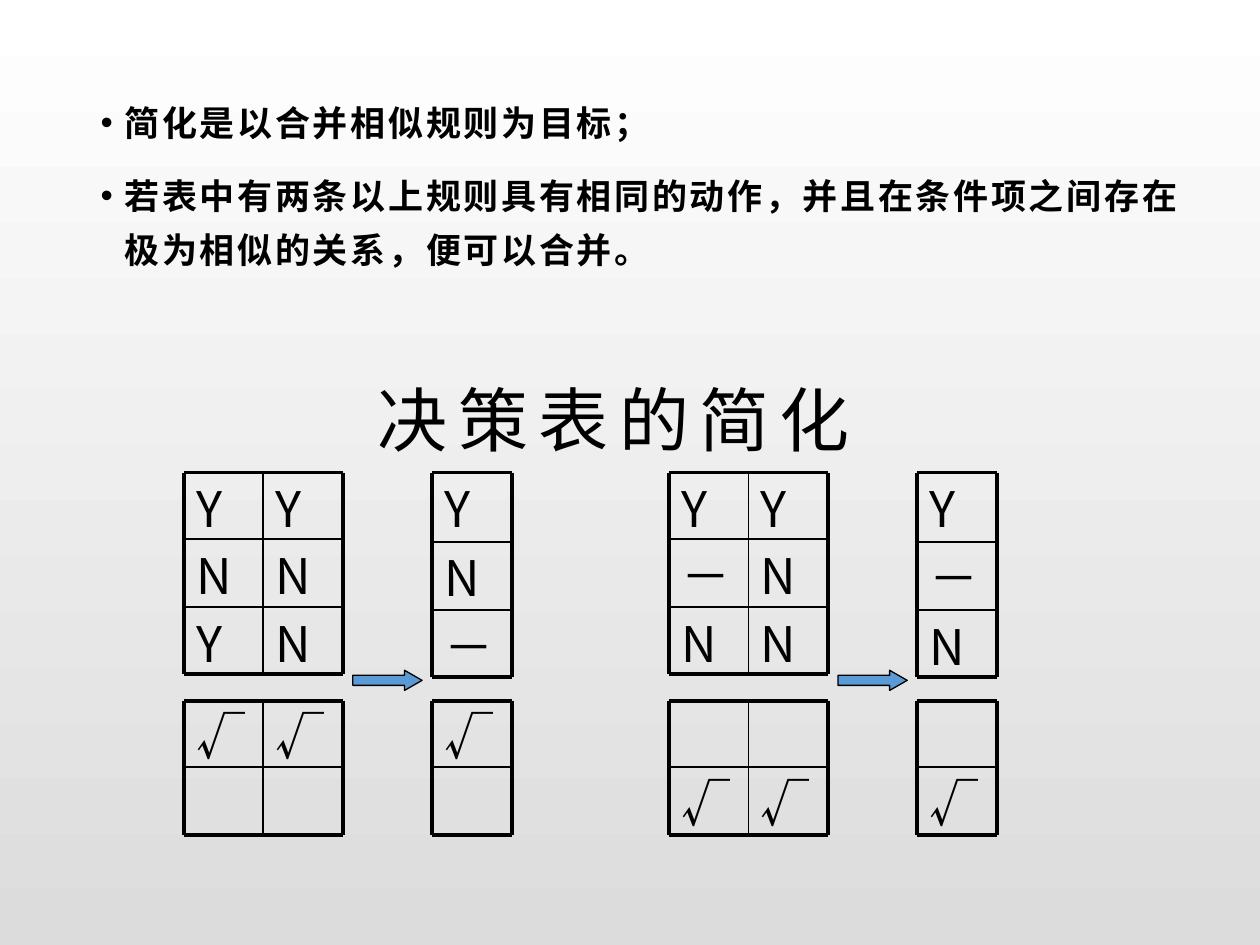
from lxml import etree
from pptx import Presentation
from pptx.dml.color import RGBColor
from pptx.enum.shapes import MSO_CONNECTOR, MSO_SHAPE
from pptx.enum.text import MSO_ANCHOR, PP_ALIGN
from pptx.oxml.ns import qn
from pptx.util import Inches, Pt

STRAIGHT = MSO_CONNECTOR.STRAIGHT
RIGHT_ARROW = MSO_SHAPE.RIGHT_ARROW
MIDDLE = MSO_ANCHOR.MIDDLE
CENTER = PP_ALIGN.CENTER

BLACK = RGBColor(0x00, 0x00, 0x00)
WHITE = RGBColor(0xFF, 0xFF, 0xFF)
GREY = RGBColor(0xDC, 0xDC, 0xDC)
BLUE = RGBColor(0x5B, 0x9B, 0xD5)

TEXT_FONT = "Noto Sans CJK SC"
CELL_FONT = "Noto Sans CJK KR"

TITLE = "决策表的简化\t"
RULES = [
    "简化是以合并相似规则为目标；",
    "若表中有两条以上规则具有相同的动作，并且在条件项之间存在极为相似的关系，便可以合并。",
]

COLUMN_WIDTH = 0.63
CONDITION_ROWS = [3.75, 4.28, 4.82, 5.35]
MERGED_CONDITION_ROWS = [3.75, 4.30, 4.84, 5.37]
ACTION_ROWS = [5.56, 6.09, 6.63]
MERGED_OFFSET = 1.97
ARROW_OFFSET = 1.34

EXAMPLES = [
    (1.46, ["YY", "NN", "YN"], ["Y", "N", "－"], ["√√", ""], ["√", ""]),
    (5.31, ["YY", "－N", "NN"], ["Y", "－", "N"], ["", "√√"], ["", "√"]),
]


def paint_background(slide):
    """Fill the slide with a gradient running from white down to grey."""
    fill = slide.background.fill
    fill.gradient()
    fill.gradient_angle = 270
    for stop, color in zip(fill.gradient_stops, (WHITE, GREY)):
        stop.color.rgb = color


def add_text_frame(shapes, left, top, width, height):
    """Add a wrapping text box and return its text frame."""
    box = shapes.add_textbox(Inches(left), Inches(top), Inches(width), Inches(height))
    box.text_frame.word_wrap = True
    return box.text_frame


def format_run(paragraph, font_name, size, bold=False, spacing=0):
    """Style the run of a paragraph, including its East Asian font."""
    run = paragraph.runs[0]
    run.font.name = font_name
    run.font.size = Pt(size)
    run.font.bold = bold
    run.font.color.rgb = BLACK
    properties = run.font._element
    properties.set("spc", str(int(spacing * 100)))
    etree.SubElement(properties, qn("a:ea"), typeface=font_name)


def add_title(slide):
    """Add the centred heading above the tables."""
    frame = add_text_frame(slide.shapes, 0.55, 2.83, 8.9, 0.98)
    frame.vertical_anchor = MIDDLE
    frame.text = TITLE
    heading = frame.paragraphs[0]
    heading.alignment = CENTER
    format_run(heading, TEXT_FONT, 40, spacing=6)


def add_rules(slide):
    """Add the bulleted rules of simplification."""
    frame = add_text_frame(slide.shapes, 0.7, 0.66, 8.95, 1.76)
    frame.text = "\n".join(RULES)
    for rule in frame.paragraphs:
        rule.line_spacing = 1.3
        rule.space_after = Pt(10)
        format_run(rule, TEXT_FONT, 20, bold=True, spacing=1.5)
        properties = rule._p.get_or_add_pPr()
        properties.set("marL", str(Inches(0.19)))
        properties.set("indent", str(-Inches(0.19)))
        etree.SubElement(properties, qn("a:buFont"), typeface="Arial")
        etree.SubElement(properties, qn("a:buChar"), char="•")


def add_mark(shapes, mark, left, top, height):
    """Add the entry of one table cell."""
    frame = add_text_frame(shapes, left, top, COLUMN_WIDTH, height)
    frame.text = mark
    entry = frame.paragraphs[0]
    before = etree.SubElement(entry._p.get_or_add_pPr(), qn("a:spcBef"))
    etree.SubElement(before, qn("a:spcPct"), val="20000")
    format_run(entry, CELL_FONT, 28)


def add_rule_line(shapes, start, end, outer):
    """Draw a table line, heavy on the outer border."""
    line = shapes.add_connector(STRAIGHT, *map(Inches, start + end))
    line.line.color.rgb = BLACK
    line.line.width = Pt(2.25 if outer else 1)
    etree.SubElement(line._element.spPr, qn("a:effectLst"))


def add_grid(shapes, left, row_edges, marks, column_count):
    """Add the entries and the ruled lines of one block of a decision table."""
    for top, bottom, row in zip(row_edges, row_edges[1:], marks):
        for column, mark in enumerate(row):
            add_mark(shapes, mark, left + column * COLUMN_WIDTH, top, bottom - top)
    column_edges = [left + i * COLUMN_WIDTH for i in range(column_count + 1)]
    first_x, last_x = column_edges[0], column_edges[-1]
    first_y, last_y = row_edges[0], row_edges[-1]
    for y in row_edges:
        add_rule_line(shapes, (first_x, y), (last_x, y), y in (first_y, last_y))
    for x in column_edges:
        add_rule_line(shapes, (x, first_y), (x, last_y), x in (first_x, last_x))


def add_arrow(shapes, left):
    """Add the arrow leading to the merged rule."""
    arrow = shapes.add_shape(
        RIGHT_ARROW, Inches(left), Inches(5.32), Inches(0.55), Inches(0.16)
    )
    arrow.adjustments[0] = 0.5
    arrow.adjustments[1] = 0.87
    arrow.shadow.inherit = False
    arrow.fill.solid()
    arrow.fill.fore_color.rgb = BLUE
    arrow.line.color.rgb = BLACK
    arrow.line.width = Pt(0.75)


def add_example(slide, left, conditions, merged_conditions, actions, merged_actions):
    """Group two similar rules with the single rule they merge into."""
    shapes = slide.shapes.add_group_shape().shapes
    merged_left = left + MERGED_OFFSET
    add_grid(shapes, left, CONDITION_ROWS, conditions, 2)
    add_grid(shapes, left, ACTION_ROWS, actions, 2)
    add_grid(shapes, merged_left, MERGED_CONDITION_ROWS, merged_conditions, 1)
    add_grid(shapes, merged_left, ACTION_ROWS, merged_actions, 1)
    add_arrow(shapes, left + ARROW_OFFSET)


def main():
    """Build the slide and save it."""
    presentation = Presentation()
    presentation.slide_width = Inches(10)
    presentation.slide_height = Inches(7.5)
    slide = presentation.slides.add_slide(presentation.slide_layouts[6])
    paint_background(slide)
    add_title(slide)
    add_rules(slide)
    for example in EXAMPLES:
        add_example(slide, *example)
    presentation.save("out.pptx")


if __name__ == "__main__":
    main()
